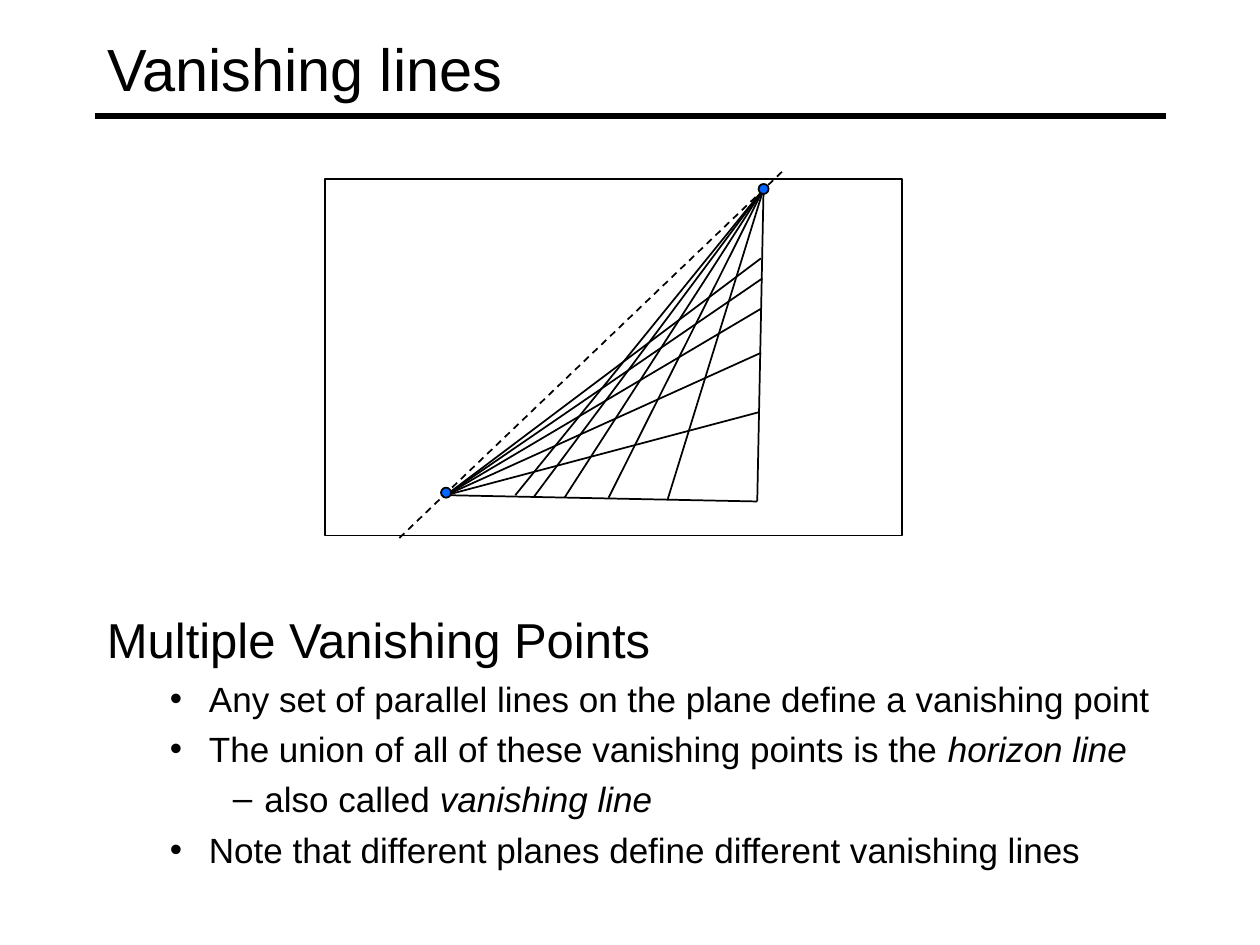
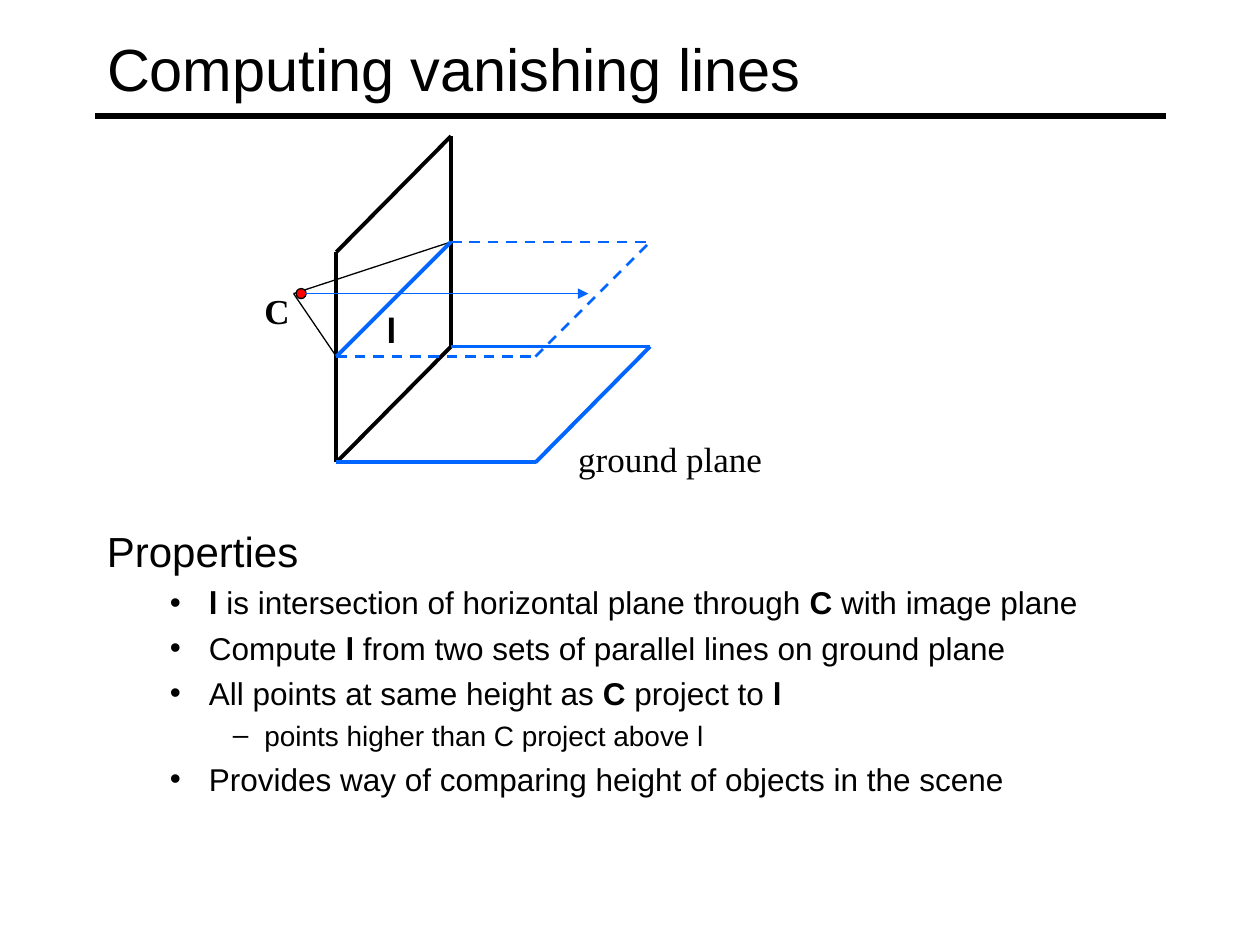
from dataclasses import dataclass
from lxml.etree import SubElement
from pptx import Presentation
from pptx.dml.color import RGBColor
from pptx.enum.dml import MSO_LINE
from pptx.enum.shapes import MSO_CONNECTOR, MSO_SHAPE
from pptx.enum.text import MSO_ANCHOR, MSO_AUTO_SIZE, PP_ALIGN
from pptx.oxml.ns import qn
from pptx.util import Pt

SCALE = 9144


def emu(*sizes):
    return [size * SCALE for size in sizes]


@dataclass(frozen=True)
class Theme:
    black: str = "000000"
    blue: str = "0066FF"
    red: str = "FF0000"
    sans: str = "Arial"
    serif: str = "Times New Roman"
    title: int = 34
    label: int = 20
    large: tuple = (28, 20, 20)
    small: tuple = (24, 18, 16)
    gap: float = 0.24
    levels: tuple = ((38, -38, ""), (81, -31, "•"), (125, -25, "–"))
    hair: float = 0.75
    thin: float = 1
    dash: float = 1.5
    thick: float = 2.25
    rule: float = 3


class Board:
    def __init__(self, deck, theme):
        self.deck = deck
        self.theme = theme
        self.slide = None

    def start(self, title):
        self.slide = self.deck.slides.add_slide(self.deck.slide_layouts[5])
        self.line((75, 92), (925, 92), self.theme.rule)
        head = self.slide.shapes.title
        head.left, head.top, head.width, head.height = emu(75, 8, 850, 92)
        frame = head.text_frame
        frame.auto_size = MSO_AUTO_SIZE.NONE
        frame.vertical_anchor = MSO_ANCHOR.MIDDLE
        para = frame.paragraphs[0]
        para.alignment = PP_ALIGN.LEFT
        self.run(para, title, self.theme.title)

    def run(self, para, text, size, style="", face=None):
        run = para.add_run()
        run.text = text
        font = run.font
        font.name = face or self.theme.sans
        font.size = Pt(size)
        font.bold = "b" in style
        font.italic = "i" in style
        font.color.rgb = RGBColor.from_string(self.theme.black)

    def box(self, area):
        frame = self.slide.shapes.add_textbox(*emu(*area)).text_frame
        frame.margin_left, frame.margin_right = emu(10, 10)
        frame.margin_top, frame.margin_bottom = emu(5, 5)
        return frame

    def body(self, area, sizes, rows):
        frame = self.box(area)
        frame.word_wrap = True
        frame.margin_top = emu(9)[0]
        for spot, (level, runs) in enumerate(rows):
            para = frame.add_paragraph() if spot else frame.paragraphs[0]
            para.level = level
            left, hang, mark = self.theme.levels[level]
            props = para._p.get_or_add_pPr()
            props.set("marL", str(left * SCALE))
            props.set("indent", str(hang * SCALE))
            if mark:
                SubElement(props, qn("a:buFont"), typeface=self.theme.sans)
                SubElement(props, qn("a:buChar"), char=mark)
            para.space_before = Pt(sizes[level] * self.theme.gap if spot else 0)
            for text, style in runs:
                self.run(para, text, sizes[level], style)

    def label(self, area, text, style="", face=None):
        frame = self.box(area)
        frame.word_wrap = False
        frame.auto_size = MSO_AUTO_SIZE.SHAPE_TO_FIT_TEXT
        self.run(frame.paragraphs[0], text, self.theme.label, style, face)

    def stroke(self, line, width, color):
        line.color.rgb = RGBColor.from_string(color)
        line.width = Pt(width)

    def line(self, start, end, width, color=None, dash=False, arrow=False):
        link = self.slide.shapes.add_connector(
            MSO_CONNECTOR.STRAIGHT, *emu(*start, *end))
        self.stroke(link.line, width, color or self.theme.black)
        if dash:
            link.line.dash_style = MSO_LINE.DASH
        props = link.element.spPr
        if arrow:
            SubElement(props.find(qn("a:ln")), qn("a:tailEnd"), type="triangle")
        SubElement(props, qn("a:effectLst"))

    def shape(self, kind, area, width, fill=None):
        item = self.slide.shapes.add_shape(kind, *emu(*area))
        item.shadow.inherit = False
        if fill:
            item.fill.solid()
            item.fill.fore_color.rgb = RGBColor.from_string(fill)
        else:
            item.fill.background()
        self.stroke(item.line, width, self.theme.black)

    def dot(self, center, width, fill):
        x, y = center
        self.shape(MSO_SHAPE.OVAL, (x - 4, y - 4, 8, 8), width, fill)


def vanish(board):
    theme = board.theme
    board.start("Vanishing lines")
    board.body((75, 475, 858, 233), theme.large, [
        (0, [("Multiple Vanishing Points", "")]),
        (1, [("Any set of parallel lines on the plane define a vanishing point", "")]),
        (1, [("The union of all of these vanishing points is the ", ""),
             ("horizon line", "i")]),
        (2, [("also called ", ""), ("vanishing line", "i")]),
        (1, [("Note that different planes define different vanishing lines", "")]),
    ])
    board.shape(MSO_SHAPE.RECTANGLE, (258, 142, 458, 283), theme.hair)
    board.line((317, 427), (621, 136), theme.thin, dash=True)
    low, high, corner = (354, 393), (606, 150), (601, 398)
    fans = {
        low: [corner, (603, 327), (604, 280), (604, 245), (605, 221), (604, 205)],
        high: [corner, (530, 396), (483, 395), (448, 395), (424, 394), (409, 393)],
    }
    for point, ends in fans.items():
        for end in ends:
            board.line(point, end, theme.thin)
    for center in (high, (354, 391)):
        board.dot(center, theme.thin, theme.blue)


def compute(board):
    theme = board.theme
    board.start("Computing vanishing lines")
    near, far, wide = 267, 358, 158
    top, eye, floor = ((near, 200), (far, 108)), ((near, 283), (far, 192)), \
        ((near, 367), (far, 275))
    for end in reversed(eye):
        board.line((233, 233), end, theme.hair)
    board.body((75, 408, 892, 333), theme.small, [
        (0, [("Properties", "")]),
        (1, [("l", "b"), (" is intersection of horizontal plane through ", ""),
             ("C", "b"), (" with image plane", "")]),
        (1, [("Compute ", ""), ("l", "b"),
             (" from two sets of parallel lines on ground plane", "")]),
        (1, [("All points at same height as ", ""), ("C", "b"),
             (" project to ", ""), ("l", "b")]),
        (2, [("points higher than C project above l", "")]),
        (1, [("Provides way of comparing height of objects in the scene", "")]),
    ])
    for start, end in (*zip(top, floor), floor, top):
        board.line(start, end, theme.thick)
    board.dot((239, 233), theme.hair, theme.red)
    board.line(*eye, theme.thick, theme.blue)
    for edge, width, dash in ((floor, theme.thick, False), (eye, theme.dash, True)):
        outer = [(x + wide, y) for x, y in edge]
        for start, end in (*zip(edge, outer), outer):
            board.line(start, end, width, theme.blue, dash)
    board.line((242, 233), (467, 233), theme.thin, theme.blue, arrow=True)
    board.label((449, 342, 166, 43), "ground plane", face=theme.serif)
    board.label((297, 240, 28, 43), "l", "b")
    board.label((200, 225, 40, 43), "C", "b", theme.serif)


def main():
    deck = Presentation()
    deck.slide_width, deck.slide_height = emu(1000, 750)
    board = Board(deck, Theme())
    vanish(board)
    compute(board)
    deck.save("out.pptx")


if __name__ == "__main__":
    main()
